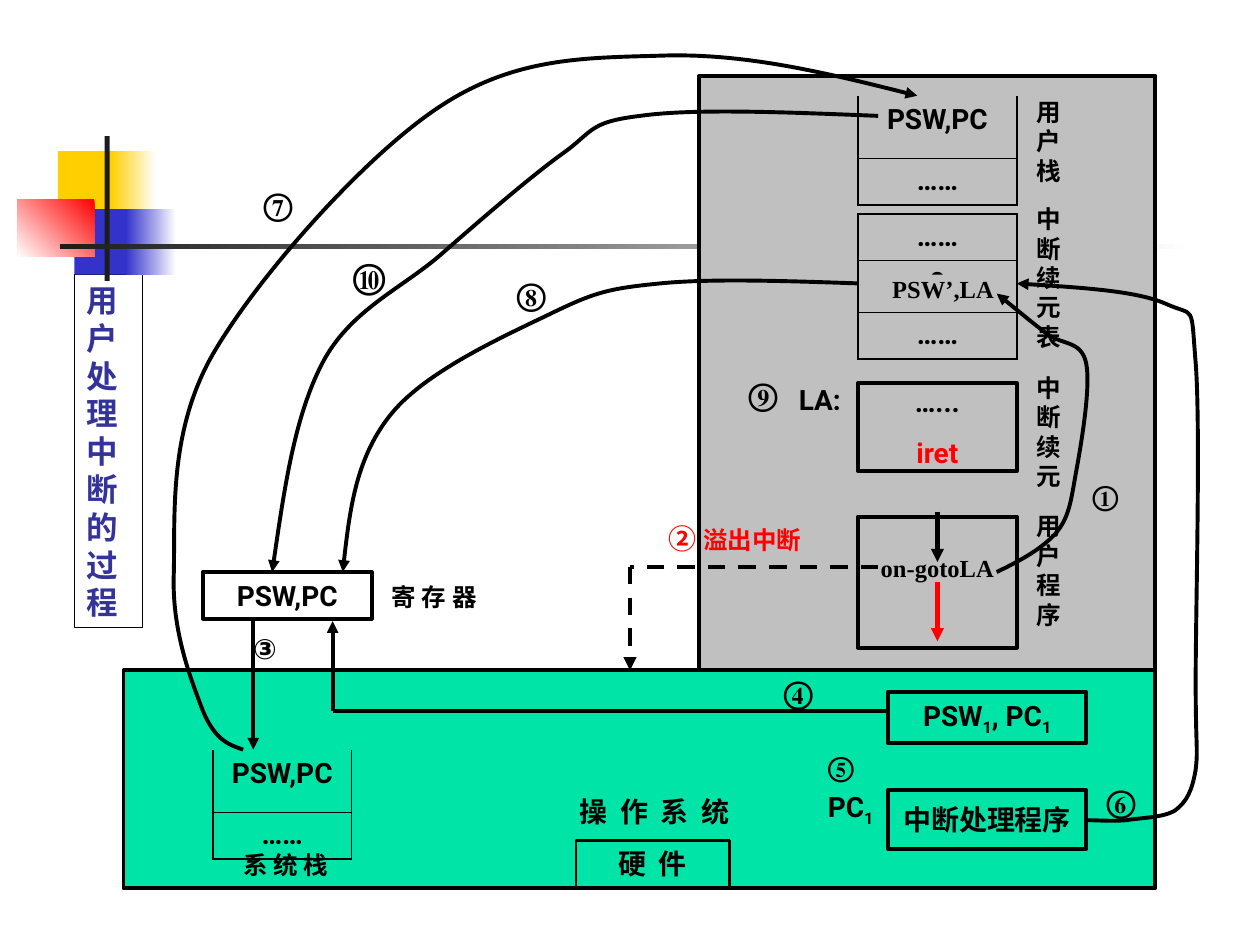
from collections import namedtuple

from lxml.etree import SubElement
from pptx import Presentation
from pptx.dml.color import RGBColor
from pptx.enum.dml import MSO_LINE
from pptx.enum.shapes import MSO_CONNECTOR, MSO_SHAPE
from pptx.enum.text import MSO_ANCHOR, MSO_AUTO_SIZE, PP_ALIGN
from pptx.oxml.ns import qn
from pptx.util import Emu, Pt

SCALE = 9144
BLACK = RGBColor(0x00, 0x00, 0x00)
WHITE = RGBColor(0xFF, 0xFF, 0xFF)
RED = RGBColor(0xFF, 0x00, 0x00)
GRAY = RGBColor(0xC0, 0xC0, 0xC0)
GREEN = RGBColor(0x00, 0xE4, 0xA8)
YELLOW = RGBColor(0xFF, 0xCF, 0x01)
BLUE = RGBColor(0x33, 0x33, 0xCC)
NAVY = RGBColor(0x33, 0x33, 0x99)
CHARCOAL = RGBColor(0x1C, 0x1C, 0x1C)
SERIF, SANS, HAN = "Times New Roman", "Roboto", "Noto Sans CJK SC"
LEFT, CENTER = PP_ALIGN.LEFT, PP_ALIGN.CENTER
STROKE = 2.25
Box = namedtuple("Box", "left top width height")


def px(value):
    """Turn px into EMU."""
    return Emu(value * SCALE)


def inside(box, left, top, width, height):
    """Return a box whose offsets are measured from the corner of another."""
    return Box(box.left + left, box.top + top, width, height)


def add_span(para, text, size, font=SERIF, color=BLACK, baseline=0):
    """Add one bold run to a paragraph."""
    span = para.add_run()
    span.text = text
    span.font.size, span.font.bold, span.font.name = Pt(size), True, font
    span.font.color.rgb = color
    properties = span._r.get_or_add_rPr()
    SubElement(properties, qn("a:ea")).set("typeface", HAN)
    if baseline:
        properties.set("baseline", str(baseline))


def write(frame, text, size, font=SERIF, color=BLACK, align=LEFT, gap=0):
    """Write lines into a frame; pieces between bars become subscripts."""
    for index, line in enumerate(text.split("\n")):
        para = frame.add_paragraph() if index else frame.paragraphs[0]
        para.alignment = align
        if index and gap:
            para.space_before = Pt(gap)
        for part, piece in enumerate(line.split("|")):
            if piece:
                add_span(para, piece, size, font, color, -25000 if part % 2 else 0)


def set_insets(frame, horizontal=0, vertical=0):
    """Give a text frame fixed insets, wrapping and no automatic size."""
    frame.word_wrap, frame.auto_size = True, MSO_AUTO_SIZE.NONE
    frame.margin_left = frame.margin_right = px(horizontal)
    frame.margin_top = frame.margin_bottom = px(vertical)


def add_label(page, box, text, size=16, font=SERIF, align=LEFT, color=BLACK):
    """Add a text box without insets."""
    label = page.shapes.add_textbox(*map(px, box))
    set_insets(label.text_frame)
    write(label.text_frame, text, size, font, color, align)
    return label


def add_box(page, box, fill=None, line=STROKE, text="", size=16, font=SANS, gap=0):
    """Add a rectangle with optional fill, outline and centred text."""
    shape = page.shapes.add_shape(MSO_SHAPE.RECTANGLE, *map(px, box))
    shape.shadow.inherit = False
    if fill is None:
        shape.fill.background()
    else:
        shape.fill.solid()
        shape.fill.fore_color.rgb = fill
    if line:
        shape.line.color.rgb, shape.line.width = BLACK, Pt(line)
    else:
        shape.line.fill.background()
    if text:
        set_insets(shape.text_frame, 6, 1)
        shape.text_frame.vertical_anchor = MSO_ANCHOR.MIDDLE
        write(shape.text_frame, text, size, font, BLACK, CENTER, gap)
    return shape


def add_gradient(page, box, start, end, angle=180):
    """Add a borderless rectangle with a two-colour gradient."""
    fill = add_box(page, box, line=0).fill
    fill.gradient()
    fill.gradient_angle = angle
    for stop, color in zip(fill.gradient_stops, (start, end)):
        stop.color.rgb = color


def set_stroke(shape, width, color=BLACK, arrow=True):
    """Format a line or curve and its arrowhead."""
    shape.line.color.rgb, shape.line.width = color, Pt(width)
    if arrow:
        SubElement(shape.line._get_or_add_ln(), qn("a:tailEnd")).set("type", "triangle")


def add_line(page, box, start, end, width=STROKE, color=BLACK, arrow=True, dashed=False):
    """Add a straight connector."""
    points = [px(value) for x, y in (start, end) for value in (box.left + x, box.top + y)]
    line = page.shapes.add_connector(MSO_CONNECTOR.STRAIGHT, *points)
    if dashed:
        line.line.dash_style = MSO_LINE.DASH
    set_stroke(line, width, color, arrow)
    SubElement(line._element.spPr, qn("a:effectLst"))


def add_curve(page, box, points):
    """Add a cubic curve from a start and triples of control points."""
    points = [(box.left + x, box.top + y) for x, y in points]
    builder = page.shapes.build_freeform(*points[0], scale=SCALE)
    builder.add_line_segments(points[1:], close=False)
    curve = builder.convert_to_shape()
    curve.shadow.inherit = False
    curve.fill.background()
    set_stroke(curve, STROKE)
    outline = next(curve._element.iter(qn("a:path")))
    segments = outline.findall(qn("a:lnTo"))
    for index in range(0, len(segments), 3):
        bezier = SubElement(outline, qn("a:cubicBezTo"))
        for segment in segments[index:index + 3]:
            bezier.append(segment[0])
            outline.remove(segment)


def set_borders(cell, widths):
    """Set the left, right, top and bottom border widths of a cell."""
    properties = cell._tc.get_or_add_tcPr()
    for side, width in zip("LRTB", widths):
        border = SubElement(properties, qn(f"a:ln{side}"), w=str(Pt(width)))
        if width:
            fill = SubElement(border, qn("a:solidFill"))
            SubElement(fill, qn("a:srgbClr")).set("val", str(BLACK))
        else:
            SubElement(border, qn("a:noFill"))


def add_stack(page, box, heights, texts, top_border=0):
    """Add a one-column stack table."""
    table = page.shapes.add_table(len(heights), 1, *map(px, box)).table
    table.first_row = table.horz_banding = False
    table.columns[0].width = px(box.width)
    last = len(heights) - 1
    for index, (height, text) in enumerate(zip(heights, texts)):
        table.rows[index].height = px(height)
        cell = table.cell(index, 0)
        set_borders(cell, (1.08, 1.08, 0.45 if index else top_border, 1.08 if index == last else 0.45))
        cell.fill.background()
        cell.margin_top = cell.margin_bottom = px(5)
        write(cell.text_frame, text, 16, SANS, BLACK, CENTER)


def draw_ornament(page, box):
    """Draw the coloured squares and crossing rules."""
    add_box(page, inside(box, 32, 12, 48, 52), YELLOW, 0)
    add_gradient(page, inside(box, 74, 12, 36, 52), WHITE, YELLOW)
    add_box(page, inside(box, 45, 58, 46, 52), BLUE, 0)
    add_gradient(page, inside(box, 86, 58, 40, 52), WHITE, BLUE)
    add_gradient(page, inside(box, 0, 50, 61, 46), RED, WHITE, 225)
    add_box(page, inside(box, 69, 0, 4, 115), CHARCOAL, 0)
    add_gradient(page, inside(box, 34, 86, 900, 4), WHITE, CHARCOAL)


def draw_title(page, box):
    """Place the vertical title in its outlined box."""
    title = page.shapes.title
    title.left, title.top, title.width, title.height = map(px, box)
    title.line.color.rgb, title.line.width = BLACK, Pt(0.75)
    set_insets(title.text_frame, 10, 5)
    title.text_frame.vertical_anchor = MSO_ANCHOR.TOP
    write(title.text_frame, "\n".join("用户处理中断的过程"), 18, color=NAVY)


def draw_user_space(page, box):
    """Draw the user stack, continuation table, continuation and program."""
    add_box(page, box, GRAY)
    add_stack(page, inside(box, 126, 16, 126, 87), (50, 37), ("", "……"))
    add_label(page, inside(box, 134, 21, 110, 27), "PSW,PC", 16, SANS, CENTER)
    add_stack(page, inside(box, 126, 110, 126, 115), (37, 41, 37), ("……", "0", "……"), 1.08)
    entry = inside(box, 142, 158, 103, 23)
    add_box(page, entry, GRAY, 0, "PSW’,LA", 14, SERIF)
    add_label(page, inside(box, 79, 244, 39, 27), "LA:", 16, SANS)
    routine = add_box(page, inside(box, 126, 244, 126, 70), text="…...\niret", gap=10)
    routine.text_frame.paragraphs[1].runs[0].font.color.rgb = RED
    add_box(page, inside(box, 126, 350, 126, 104))
    add_label(page, inside(box, 126, 379, 126, 23), "on-gotoLA", 14, align=CENTER)
    for top, text in ((17, "用户栈"), (102, "中断续元表"), (236, "中断续元"), (346, "用户程序")):
        add_label(page, inside(box, 268, top, 31, 24 * len(text)), "\n".join(text), 14)
    add_line(page, box, (189, 346), (189, 386), 2.5)
    add_line(page, box, (189, 402), (189, 449), 2.5, RED)


def draw_system(page, box):
    """Draw the operating system panel with its stack and handlers."""
    add_box(page, box, GREEN)
    hardware = add_box(page, inside(box, 359, 135, 122, 37), line=1.5, text="硬 件", font=HAN)
    system = add_label(page, inside(box, 323, 99, 197, 27), "操 作 系 统", 16, HAN, CENTER)
    for shape in (hardware, system):
        shape.text_frame.paragraphs[0].runs[0]._r.rPr.set("spc", "180")
    add_box(page, inside(box, 607, 95, 157, 47), text="中断处理程序", font=SERIF)
    add_label(page, inside(box, 559, 95, 47, 30), "PC|1", 16, SANS)
    add_box(page, inside(box, 607, 17, 157, 41), text="PSW|1|, PC|1")
    add_label(page, inside(box, 95, 143, 80, 23), "系 统 栈", 14)
    add_stack(page, inside(box, 71, 63, 110, 87), (50, 37), ("", "……"))
    add_label(page, inside(box, 71, 68, 110, 27), "PSW,PC", 16, SANS, CENTER)


def draw_registers(page, box):
    """Draw the register box and its caption."""
    add_box(page, box, text="PSW,PC")
    add_label(page, inside(box, 150, 8, 80, 23), "寄 存 器", 14)


def draw_flow(page, box):
    """Draw the numbered arrows that link the regions."""
    add_curve(page, box, [(681, 225), (623, 223), (564, 221), (524, 225), (483, 229), (472, 232), (437, 249),
                          (402, 266), (339, 294), (311, 328), (283, 362), (277, 408), (272, 454)])
    add_curve(page, box, [(862, 651), (872, 651), (882, 652), (894, 651), (906, 649), (924, 649), (933, 643),
                          (942, 636), (946, 628), (949, 611), (951, 594), (949, 594), (949, 540),
                          (949, 487), (953, 338), (949, 288), (945, 239), (949, 252), (925, 241),
                          (902, 231), (854, 228), (807, 225)])
    add_curve(page, box, [(193, 595), (182, 591), (171, 588), (161, 564), (152, 540), (136, 501), (138, 454),
                          (139, 407), (134, 342), (169, 281), (205, 219), (290, 123), (350, 84),
                          (411, 44), (468, 46), (531, 44), (594, 43), (661, 59), (728, 76)])
    add_curve(page, box, [(791, 454), (810, 445), (828, 435), (839, 422), (849, 409), (850, 397), (854, 375),
                          (858, 353), (866, 307), (862, 288), (858, 270), (843, 274), (831, 265),
                          (819, 256), (805, 244), (791, 233)])
    add_curve(page, box, [(697, 92), (623, 89), (550, 86), (508, 92), (466, 97), (471, 105), (445, 123),
                          (419, 142), (382, 174), (350, 202), (319, 229), (278, 246), (256, 288),
                          (234, 330), (225, 392), (216, 454)])
    add_line(page, box, (697, 450), (500, 450), 2.5, arrow=False, dashed=True)
    add_line(page, box, (500, 450), (500, 532), 2.5, dashed=True)
    add_line(page, box, (705, 564), (264, 564), arrow=False)
    add_line(page, box, (264, 564), (264, 493))
    add_line(page, box, (201, 493), (201, 595))
    overflow = add_label(page, inside(box, 531, 414, 120, 27), "② ", color=RED)
    add_span(overflow.text_frame.paragraphs[0], "溢出中断", 14, color=RED)
    for left, top, text, size, font in (
            (867, 380, "①", 16, SERIF), (201, 501, "③", 16, SANS), (622, 534, "④", 18, SERIF),
            (657, 595, "⑤", 16, SERIF), (878, 621, "⑥", 18, SERIF), (209, 147, "⑦", 18, SERIF),
            (410, 218, "⑧", 18, SERIF), (594, 298, "⑨", 18, SERIF), (280, 202, "⑩", 20, SERIF)):
        add_label(page, inside(box, left, top, 31, 30), text, size, font)


def main():
    """Build and save the slide."""
    deck = Presentation()
    deck.slide_width, deck.slide_height = px(1000), px(750)
    page = deck.slides.add_slide(deck.slide_layouts[5])
    draw_ornament(page, Box(14, 108, 934, 115))
    draw_title(page, Box(59, 218, 54, 280))
    draw_user_space(page, Box(555, 60, 362, 472))
    draw_system(page, Box(98, 532, 819, 173))
    draw_registers(page, Box(161, 454, 134, 37))
    draw_flow(page, Box(0, 0, 1000, 750))
    deck.save("out.pptx")


if __name__ == "__main__":
    main()
